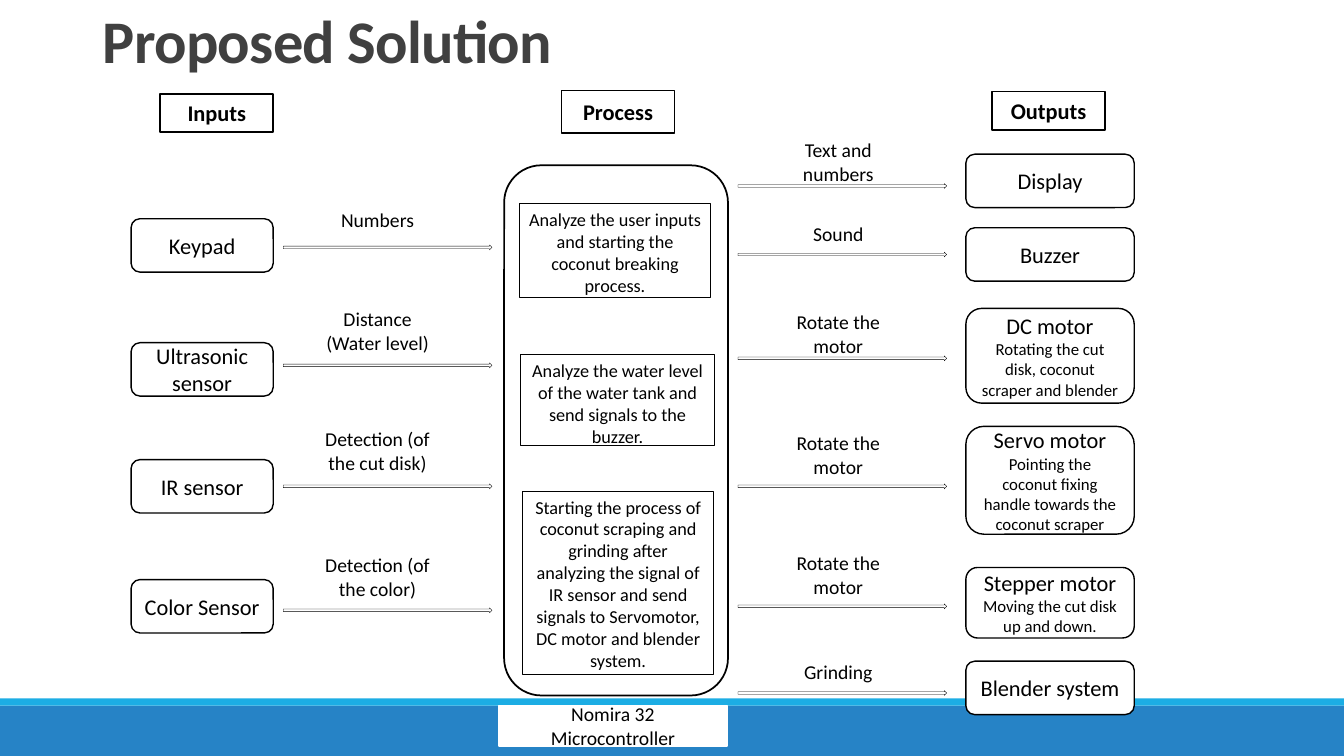
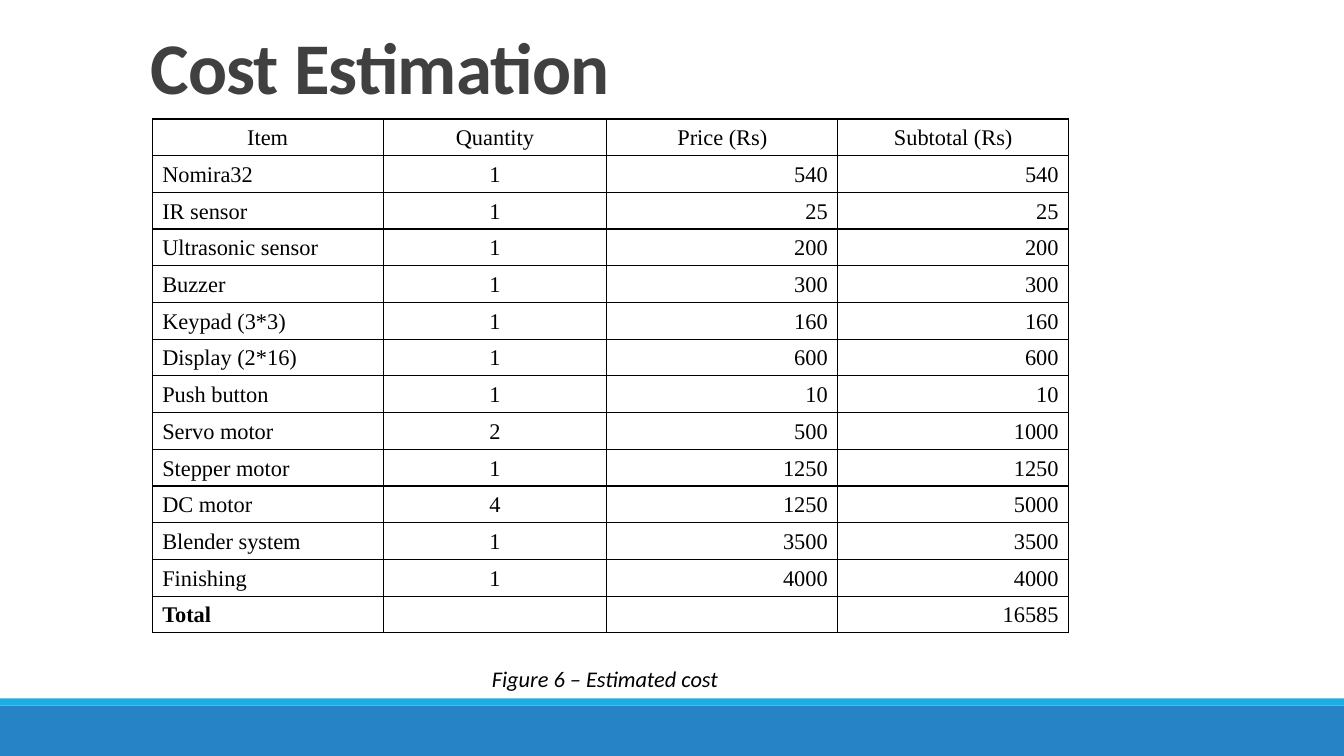
"""Build two slides: a control system diagram and its cost table."""
from lxml import etree
from pptx import Presentation
from pptx import util as u
from pptx.dml.color import RGBColor
from pptx.enum import shapes, text

INK = {
    "blue": "2683C6",
    "sky": "1CADE4",
    "title": "404040",
    "black": "000000",
    "white": "FFFFFF",
}
SANS, SERIF = "Calibri", "Times New Roman"
KIND = shapes.MSO_SHAPE
LEFT, MID, RIGHT = text.PP_ALIGN.LEFT, text.PP_ALIGN.CENTER, text.PP_ALIGN.RIGHT
TOP, HALF, BASE = (
    text.MSO_ANCHOR.TOP, text.MSO_ANCHOR.MIDDLE, text.MSO_ANCHOR.BOTTOM)
DRAW = "http://schemas.openxmlformats.org/drawingml/2006/main"

HEADS = [
    ("Inputs", (1.59, 0.93, 1.12, 0.38), 1.25),
    ("Process", (5.57, 0.9, 1.12, 0.42), 1),
    ("Outputs", (9.84, 0.91, 1.12, 0.38), 1),
]
INPUTS = [
    ("Keypad", 2.17),
    ("Ultrasonic sensor", 3.4),
    ("IR sensor", 4.56),
    ("Color Sensor", 5.75),
]
OUTPUTS = [
    ("Display", "", 1.53, 0.53),
    ("Buzzer", "", 2.26, 0.53),
    ("DC motor", "Rotating the cut disk, coconut scraper and blender", 3.06, 0.94),
    ("Servo motor",
     "Pointing the coconut fixing handle towards the coconut scraper", 4.23, 1.07),
    ("Stepper motor", "Moving the cut disk up and down.", 5.63, 0.7),
    ("Blender system", "", 6.56, 0.53),
]
STEPS = [
    ("Analyze the user inputs and starting the coconut breaking process.",
     (5.15, 2.02, 1.9, 0.93)),
    ("Analyze the water level of the water tank and send signals to the buzzer.",
     (5.16, 3.52, 1.93, 0.9)),
    ("Starting the process of coconut scraping and grinding after analyzing "
     "the signal of IR sensor and send signals to Servomotor, DC motor and "
     "blender system.", (5.18, 4.87, 1.9, 1.82)),
]
FLOWS_IN = [
    ("Numbers", 2.01, 0.31, 2.43),
    ("Distance (Water level)", 3, 0.49, 3.6),
    ("Detection (of the cut disk)", 4.19, 0.53, 4.8),
    ("Detection (of the color)", 5.44, 0.53, 6.03),
]
FLOWS_OUT = [
    ("Text and numbers", 1.32, 0.51, 1.82),
    ("Sound", 2.15, 0.37, 2.5),
    ("Rotate the motor", 3.03, 0.49, 3.53),
    ("Rotate the motor", 4.23, 0.49, 4.8),
    ("Rotate the motor", 5.42, 0.44, 5.99),
    ("Grinding", 6.5, 0.25, 6.85),
]
COSTS = [
    ("Item", "Quantity", "Price (Rs)", "Subtotal (Rs)"),
    ("Nomira32", "1", "540", "540"),
    ("IR sensor", "1", "25", "25"),
    ("Ultrasonic sensor", "1", "200", "200"),
    ("Buzzer", "1", "300", "300"),
    ("Keypad (3*3)", "1", "160", "160"),
    ("Display (2*16)", "1", "600", "600"),
    ("Push button", "1", "10", "10"),
    ("Servo motor", "2", "500", "1000"),
    ("Stepper motor", "1", "1250", "1250"),
    ("DC motor", "4", "1250", "5000"),
    ("Blender system", "1", "3500", "3500"),
    ("Finishing", "1", "4000", "4000"),
    ("Total", "", "", "16585"),
]


def tint(name):
    """Return the named colour."""
    return RGBColor.from_string(INK[name])


def place(box):
    """Turn left, top, width and height into lengths."""
    return [u.Inches(side) for side in box]


def write(para, words, size, face=SANS, color="black", align=MID,
          bold=False, slant=False):
    """Add one formatted run to a paragraph and return it."""
    para.alignment = align
    run = para.add_run()
    run.text = words
    font = run.font
    font.name, font.size = face, u.Pt(size)
    font.bold, font.italic = bold, slant
    font.color.rgb = tint(color)
    return run


def block(slide, kind, box, fill="white", line="black", width=1.0):
    """Add a flat preset shape."""
    shape = slide.shapes.add_shape(kind, *place(box))
    shape.shadow.inherit = False
    shape.fill.solid()
    shape.fill.fore_color.rgb = tint(fill)
    if line:
        shape.line.color.rgb = tint(line)
        shape.line.width = u.Pt(width)
    else:
        shape.line.fill.background()
    return shape


def card(slide, kind, box, lines, anchor=HALF, bold=False, **look):
    """Add a shape holding one paragraph per (words, size) pair."""
    frame = block(slide, kind, box, **look).text_frame
    frame.word_wrap = True
    frame.vertical_anchor = anchor
    for i, (words, size) in enumerate(lines):
        para = frame.add_paragraph() if i else frame.paragraphs[0]
        write(para, words, size, bold=bold)


def flow(slide, left, shift, rows):
    """Add a column of labels, each with a thin arrow."""
    for words, top, height, level in rows:
        card(slide, KIND.RECTANGLE, (left + shift, top, 1.27, height),
             [(words, 14)], TOP, line="white", width=0.5)
        block(slide, KIND.RIGHT_ARROW, (left, level, 2.07, 0.05), width=0.25)


def bands(deck, slide):
    """Draw the bottom bands and move them to the slide master."""
    tree = deck.slide_master.shapes.element
    for top, height, fill in ((7, 0.5, "blue"), (6.93, 0.07, "sky")):
        band = block(slide, KIND.RECTANGLE, (0, top, 13.33, height), fill, None)
        tree.append(band.element)


def page(deck, words, box, size, anchor):
    """Add a slide with its title placed and styled."""
    slide = deck.slides.add_slide(deck.slide_layouts[5])
    title = slide.shapes.title
    title.left, title.top, title.width, title.height = place(box)
    frame = title.text_frame
    frame.auto_size = text.MSO_AUTO_SIZE.NONE
    frame.vertical_anchor = anchor
    para = frame.paragraphs[0]
    para.line_spacing = 0.85
    run = write(para, words, size, color="title", align=LEFT, bold=True)
    run.font._element.set("spc", "-50")
    return slide


def edge(cell):
    """Give a cell thin black borders."""
    props = cell._tc.get_or_add_tcPr()
    for i, side in enumerate(("lnL", "lnR", "lnT", "lnB")):
        line = etree.Element(f"{{{DRAW}}}{side}", w=str(u.Pt(1)))
        fill = etree.SubElement(line, f"{{{DRAW}}}solidFill")
        etree.SubElement(fill, f"{{{DRAW}}}srgbClr", val=INK["black"])
        props.insert(i, line)


def grid(slide, rows, box, widths):
    """Add the bordered table of costs."""
    table = slide.shapes.add_table(len(rows), len(widths), *place(box)).table
    table.first_row = table.horz_banding = False
    for col, width in zip(table.columns, widths):
        col.width = u.Inches(width)
    for r, row in enumerate(rows):
        table.rows[r].height = u.Inches(box[3] / len(rows))
        for c, words in enumerate(row):
            cell = table.cell(r, c)
            cell.fill.background()
            edge(cell)
            if not words:
                cell.margin_top = cell.margin_bottom = 0
                continue
            cell.vertical_anchor = TOP if r else HALF
            para = cell.text_frame.paragraphs[0]
            para.line_spacing = 1.07
            align = (LEFT, MID, RIGHT, RIGHT)[c] if r else MID
            write(para, words, 16, SERIF, align=align, bold=words == "Total")


def plan(slide):
    """Fill the diagram slide."""
    block(slide, KIND.ROUNDED_RECTANGLE, (5, 1.64, 2.22, 5.26), width=1.25)
    for words, box, width in HEADS:
        card(slide, KIND.RECTANGLE, box, [(words, 16)], bold=True, width=width)
    for words, top in INPUTS:
        card(slide, KIND.ROUNDED_RECTANGLE, (1.3, top, 1.41, 0.53), [(words, 16)])
    for words, note, top, height in OUTPUTS:
        lines = [(words, 16)] + ([(note, 12)] if note else [])
        card(slide, KIND.ROUNDED_RECTANGLE, (9.58, top, 1.67, height), lines)
    for words, box in STEPS:
        card(slide, KIND.RECTANGLE, box, [(words, 13)], TOP, width=0.5)
    card(slide, KIND.RECTANGLE, (4.95, 7, 2.26, 0.4),
         [("Nomira 32 Microcontroller", 14)], line="white")
    flow(slide, 2.81, 0.3, FLOWS_IN)
    flow(slide, 7.32, 0.36, FLOWS_OUT)


def costs(slide):
    """Fill the cost slide."""
    grid(slide, COSTS, (1.51, 1.18, 9.09, 5.06), (2.29, 2.22, 2.29, 2.29))
    frame = slide.shapes.add_textbox(*place((4.78, 6.55, 2.54, 0.37))).text_frame
    frame.word_wrap = True
    write(frame.paragraphs[0], "Figure 6 – Estimated cost", 16,
          align=LEFT, slant=True)


def main():
    """Build and save the deck."""
    deck = Presentation()
    deck.slide_width, deck.slide_height = u.Inches(13.33), u.Inches(7.5)
    first = page(deck, "Proposed Solution", (0.92, 0.12, 11.55, 0.68), 43.2, BASE)
    bands(deck, first)
    plan(first)
    costs(page(deck, "Cost Estimation", (1.39, 0.26, 11.5, 0.92), 52, HALF))
    deck.save("out.pptx")


if __name__ == "__main__":
    main()
